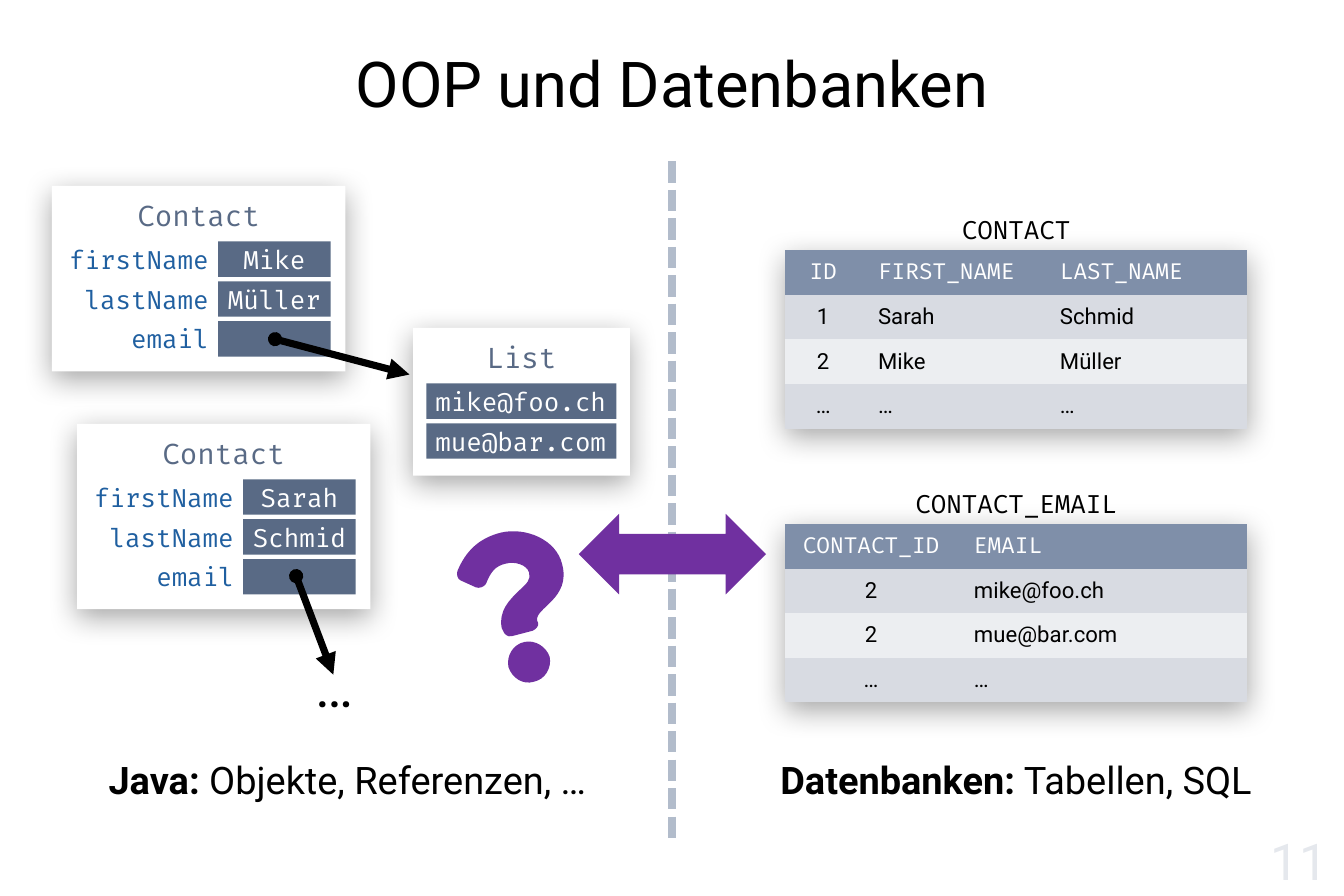
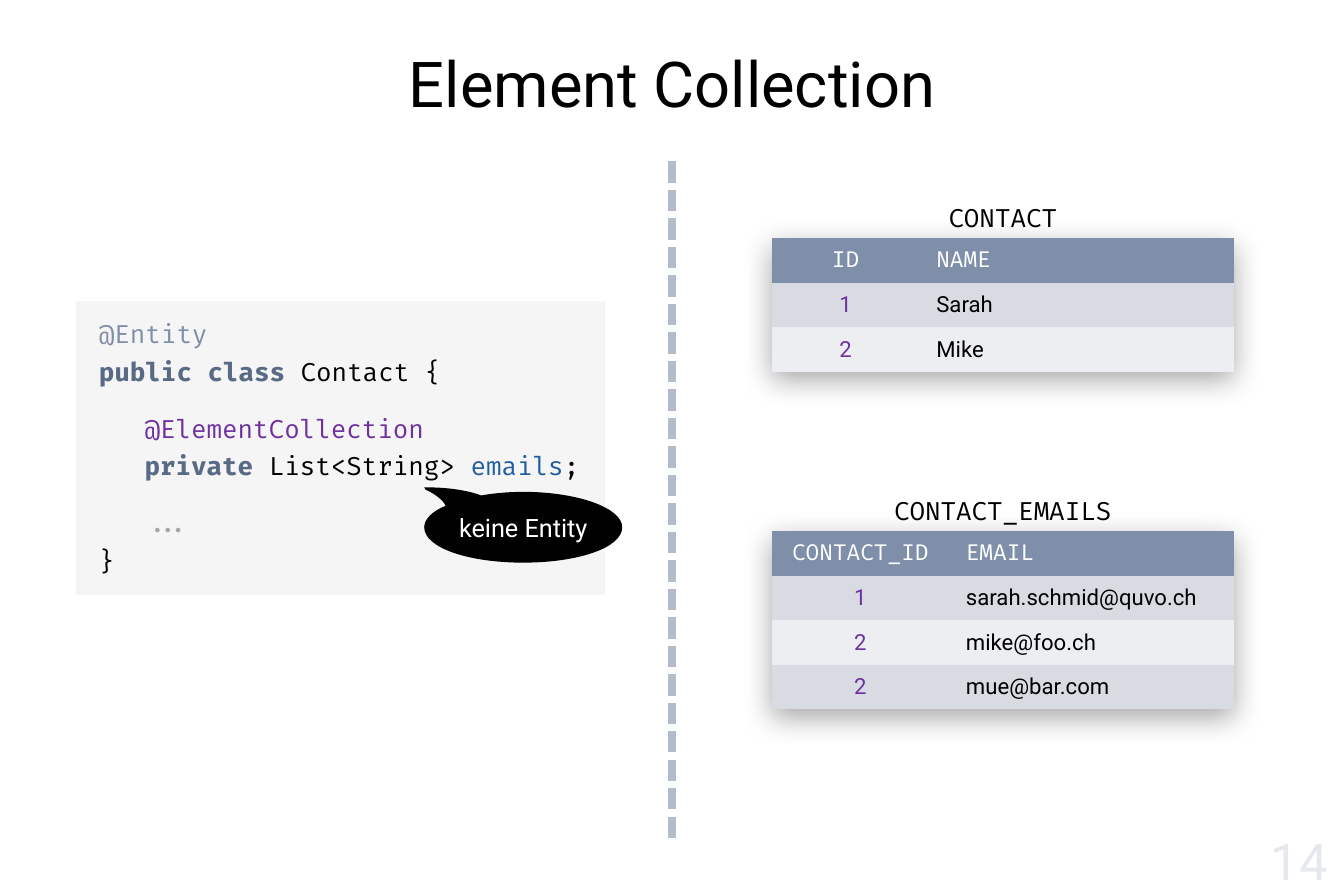
from dataclasses import dataclass

from lxml.etree import SubElement
from pptx import Presentation
from pptx.dml.color import RGBColor
from pptx.enum.dml import MSO_LINE
from pptx.enum.shapes import MSO_CONNECTOR, MSO_SHAPE
from pptx.enum.text import MSO_ANCHOR, PP_ALIGN
from pptx.oxml.ns import qn
from pptx.util import Cm, Pt


@dataclass(frozen=True)
class Theme:
    sans: str = "Roboto"
    mono: str = "Fira Code"
    black: str = "000000"
    white: str = "FFFFFF"
    slate: str = "596A85"
    header: str = "7F8FA9"
    rows: tuple = ("D8DBE2", "ECEEF1")
    divider: str = "B2BCCB"
    number: str = "E5E8ED"
    muted: str = "A6A6A6"
    blue: str = "1F5FA0"
    purple: str = "7030A0"
    title_size: int = 40
    ellipsis_size: int = 36
    number_size: int = 32
    caption_size: int = 24
    card_size: int = 18
    body_size: int = 16
    cell_size: int = 14
    line_width: float = 4.5


@dataclass(frozen=True)
class Box:
    left: float
    top: float
    width: float
    height: float

    def inside(self, left, top, width, height):
        return Box(self.left + left, self.top + top, width, height)

    def lengths(self):
        return Cm(self.left), Cm(self.top), Cm(self.width), Cm(self.height)


THEME = Theme()
NO_GRID_STYLE = "{2D5ABB26-0587-4C30-8999-92F81FD0307C}"
ROW_HEIGHT = 0.99
SLOT_TOP, SLOT_HEIGHT, SLOT_PITCH = 1.24, 0.79, 0.89

QUESTION_HOOK = [
    (1.02, 0.05),
    (0.51, 0.18, 0.23, 0.48, 0.05, 0.91),
    (0.03, 0.99, 0.05, 1.09, 0.13, 1.12),
    (0.46, 1.27),
    (0.53, 1.3, 0.64, 1.27, 0.69, 1.19),
    (0.79, 0.94, 0.89, 0.79, 1.14, 0.74),
    (1.32, 0.69, 1.6, 0.76, 1.65, 0.94),
    (1.7, 1.09, 1.6, 1.19, 1.42, 1.35),
    (1.22, 1.55, 0.97, 1.78, 1.04, 2.18),
    (1.07, 2.24),
    (1.09, 2.31, 1.17, 2.39, 1.27, 2.36),
    (1.73, 2.24),
    (1.8, 2.21, 1.88, 2.13, 1.85, 2.06),
    (1.83, 2.01),
    (1.78, 1.73, 2.59, 1.52, 2.39, 0.76),
    (2.26, 0.2, 1.57, -0.08, 1.02, 0.05),
]
QUESTION_DOT = [
    (1.55, 2.49),
    (1.3, 2.54, 1.14, 2.79, 1.19, 3.05),
    (1.27, 3.3, 1.52, 3.45, 1.75, 3.38),
    (2.01, 3.33, 2.16, 3.07, 2.11, 2.82),
    (2.03, 2.59, 1.78, 2.44, 1.55, 2.49),
]
BUBBLE = [
    (2.21, 1.68),
    (0.99, 1.68, 0, 1.35, 0, 0.89),
    (0, 0.71, 0.18, 0.53, 0.48, 0.41),
    (0.38, 0.2, 0.03, 0.05, 0.03, 0.05),
    (0, 0.03, 0, 0.03, 0, 0),
    (0, 0, 0.03, 0, 0.08, 0),
    (0.64, 0, 1.07, 0.1, 1.27, 0.18),
    (1.55, 0.13, 1.88, 0.1, 2.21, 0.1),
    (3.43, 0.1, 4.42, 0.46, 4.42, 0.89),
    (4.42, 1.35, 3.43, 1.68, 2.21, 1.68),
]


def add_span(para, text, size, color=THEME.black, font=THEME.sans, bold=False):
    span = para.add_run()
    span.text = text
    span.font.size = Pt(size)
    span.font.name = font
    span.font.bold = bold
    span.font.color.rgb = RGBColor.from_string(color)


def set_frame(frame, insets, anchor, align):
    frame.word_wrap = True
    frame.margin_left, frame.margin_top, frame.margin_right, frame.margin_bottom = map(Cm, insets)
    frame.vertical_anchor = anchor
    para = frame.paragraphs[0]
    para.alignment = align
    return para


def add_text(page, box, insets=(0.25, 0.13, 0.25, 0.13), anchor=MSO_ANCHOR.TOP, align=PP_ALIGN.CENTER):
    return set_frame(page.shapes.add_textbox(*box.lengths()).text_frame, insets, anchor, align)


def paint(shape, color):
    shape.shadow.inherit = False
    shape.fill.solid()
    shape.fill.fore_color.rgb = RGBColor.from_string(color)
    shape.line.fill.background()
    return shape


def add_block(page, kind, box, color):
    return paint(page.shapes.add_shape(kind, *box.lengths()), color)


def add_alpha(parent, percent):
    SubElement(parent, qn("a:alpha"), val=str(percent * 1000))


def add_shadow(effects):
    shadow = SubElement(effects, qn("a:outerShdw"), blurRad=str(Pt(19)), dist=str(Pt(5)),
                        dir="5400000", algn="t", rotWithShape="0")
    add_alpha(SubElement(shadow, qn("a:srgbClr"), val=THEME.black), 35)


def add_line(page, start, end, color):
    line = page.shapes.add_connector(MSO_CONNECTOR.STRAIGHT, *map(Cm, start + end))
    line.line.color.rgb = RGBColor.from_string(color)
    line.line.width = Pt(THEME.line_width)
    SubElement(line._element.spPr, qn("a:effectLst"))
    return line


def add_reference(page, start, end):
    outline = add_line(page, start, end, THEME.black).line._get_or_add_ln()
    SubElement(outline, qn("a:headEnd"), type="oval", w="sm", len="sm")
    SubElement(outline, qn("a:tailEnd"), type="triangle")


def add_outline(page, box, contours, color):
    def place(x, y):
        return Cm(box.left + x), Cm(box.top + y)

    builder = page.shapes.build_freeform(*place(*contours[0][0]))
    for index, contour in enumerate(contours):
        if index:
            builder.move_to(*place(*contour[0]))
        builder.add_line_segments([place(*part[-2:]) for part in contour[1:]])
    shape = paint(builder.convert_to_shape(), color)
    parts = [part for contour in contours for part in contour[1:]]
    segments = list(shape._element.spPr.iter(qn("a:lnTo")))
    for segment, part in zip(segments, parts):
        if len(part) == 6:
            segment.tag = qn("a:cubicBezTo")
            for position in (0, 1):
                x, y = place(*part[2 * position:2 * position + 2])
                control = SubElement(segment, qn("a:pt"), x=str(x - shape.left), y=str(y - shape.top))
                segment.insert(position, control)
    return shape


def add_page(deck, title, number):
    page = deck.slides.add_slide(deck.slide_layouts[5])
    heading = page.shapes.title
    heading.left, heading.top, heading.width, heading.height = Box(1.07, 0.84, 27.86, 2.21).lengths()
    para = set_frame(heading.text_frame, (0.25, 0.13, 0.25, 0.13), MSO_ANCHOR.MIDDLE, PP_ALIGN.CENTER)
    para.line_spacing = 0.9
    add_span(para, title, THEME.title_size)
    add_line(page, (15, 3.6), (15, 18.75), THEME.divider).line.dash_style = MSO_LINE.SQUARE_DOT
    para = add_text(page, Box(28.37, 18.53, 1.6, 1.32), (0, 0, 0, 0), align=PP_ALIGN.LEFT)
    add_span(para, number, THEME.number_size, THEME.number)
    return page


def add_card(page, box, title):
    card = add_block(page, MSO_SHAPE.RECTANGLE, box, THEME.white)
    add_shadow(card._element.spPr.find(qn("a:effectLst")))
    para = set_frame(card.text_frame, (0.51, 0.2, 0.51, 0.41), MSO_ANCHOR.TOP, PP_ALIGN.CENTER)
    para.line_spacing = 1.1
    add_span(para, title, THEME.card_size, THEME.slate, THEME.mono)


def add_slot(page, box, text, align):
    slot = add_block(page, MSO_SHAPE.RECTANGLE, box, THEME.slate)
    if text:
        para = set_frame(slot.text_frame, (0.2, 0.05, 0.2, 0.05), MSO_ANCHOR.MIDDLE, align)
        add_span(para, text, THEME.body_size, THEME.white, THEME.mono)


def add_contact(page, box, fields):
    add_card(page, box, "Contact")
    for index, (name, value) in enumerate(fields):
        top = SLOT_TOP + index * SLOT_PITCH
        add_slot(page, box.inside(3.71, top, 2.51, SLOT_HEIGHT), value, PP_ALIGN.CENTER)
        para = add_text(page, box.inside(0.1, top - 0.05, 3.6, SLOT_PITCH),
                        (0.2, 0.1, 0.2, 0.1), MSO_ANCHOR.MIDDLE, PP_ALIGN.RIGHT)
        add_span(para, name, THEME.body_size, THEME.blue, THEME.mono)


def add_list(page, box, items):
    add_card(page, box, "List")
    for index, item in enumerate(items):
        slot = box.inside(0.3, SLOT_TOP + index * SLOT_PITCH, box.width - 0.6, SLOT_HEIGHT)
        add_slot(page, slot, item, PP_ALIGN.LEFT)


def add_data_table(page, left, top, name, widths, rows, key_color=THEME.black):
    box = Box(left, top, sum(widths), ROW_HEIGHT * len(rows))
    table = page.shapes.add_table(len(rows), len(widths), *box.lengths()).table
    properties = table._tbl.tblPr
    properties.find(qn("a:tableStyleId")).text = NO_GRID_STYLE
    effects = SubElement(properties, qn("a:effectLst"))
    properties.insert(0, effects)
    add_shadow(effects)
    for column, width in zip(table.columns, widths):
        column.width = Cm(width)
    for r, values in enumerate(rows):
        table.rows[r].height = Cm(ROW_HEIGHT)
        for c, value in enumerate(values):
            cell = table.cell(r, c)
            cell.fill.solid()
            cell.fill.fore_color.rgb = RGBColor.from_string(THEME.rows[(r - 1) % 2] if r else THEME.header)
            cell.margin_left = cell.margin_right = Cm(0.38)
            cell.margin_top = cell.margin_bottom = Cm(0.2)
            para = cell.text_frame.paragraphs[0]
            para.alignment = PP_ALIGN.LEFT if c else PP_ALIGN.CENTER
            if r:
                add_span(para, value, THEME.cell_size, THEME.black if c else key_color)
            else:
                add_span(para, value, THEME.cell_size, THEME.white, THEME.mono)
    para = add_text(page, box.inside(0, -0.94, box.width, 0.94), anchor=MSO_ANCHOR.BOTTOM)
    add_span(para, name, THEME.body_size, font=THEME.mono)


def add_caption(page, box, term, rest):
    para = add_text(page, box)
    add_span(para, term, THEME.caption_size, bold=True)
    add_span(para, rest, THEME.caption_size)


def add_code(page, box, lines):
    panel = add_block(page, MSO_SHAPE.RECTANGLE, box, THEME.black)
    add_alpha(panel._element.spPr.find(qn("a:solidFill"))[0], 4)
    para = set_frame(panel.text_frame, (0.51, 0.2, 0.51, 0.41), MSO_ANCHOR.TOP, PP_ALIGN.LEFT)
    for index, (indent, gap, spans) in enumerate(lines):
        if index:
            para = panel.text_frame.add_paragraph()
            para.alignment = PP_ALIGN.LEFT
        para.line_spacing = 1.25
        para.space_before = Pt(gap)
        para._p.get_or_add_pPr().set("marL", str(Cm(indent)))
        for text, color, bold in spans:
            add_span(para, text, THEME.body_size, color, THEME.mono, bold)


def add_bubble(page, box, text):
    bubble = add_outline(page, box, [BUBBLE], THEME.black)
    para = set_frame(bubble.text_frame, (0.25, 0.1, 0.25, 0), MSO_ANCHOR.MIDDLE, PP_ALIGN.CENTER)
    add_span(para, text, THEME.body_size, THEME.white)


def build_comparison(deck):
    page = add_page(deck, "OOP und Datenbanken", "11")
    add_contact(page, Box(1.16, 4.15, 6.55, 4.14),
                [("firstName", "Mike"), ("lastName", "Müller"), ("email", "")])
    add_list(page, Box(9.22, 7.32, 4.84, 3.3), ["mike@foo.ch", "mue@bar.com"])
    add_reference(page, (6.14, 7.57), (9.14, 8.36))
    add_contact(page, Box(1.72, 9.46, 6.55, 4.14),
                [("firstName", "Sarah"), ("lastName", "Schmid"), ("email", "")])
    add_reference(page, (6.61, 12.86), (7.44, 15.06))
    add_span(add_text(page, Box(6.8, 14.4, 1.47, 1.8), align=PP_ALIGN.LEFT), "…", THEME.ellipsis_size)
    add_data_table(page, 17.53, 5.59, "CONTACT", (1.69, 4.06, 4.56),
                   [("ID", "FIRST_NAME", "LAST_NAME"), ("1", "Sarah", "Schmid"),
                    ("2", "Mike", "Müller"), ("…", "…", "…")])
    add_data_table(page, 17.53, 11.7, "CONTACT_EMAIL", (3.83, 6.48),
                   [("CONTACT_ID", "EMAIL"), ("2", "mike@foo.ch"), ("2", "mue@bar.com"), ("…", "…")])
    add_caption(page, Box(1.9, 16.76, 11.71, 1.27), "Java:", " Objekte, Referenzen, …")
    add_caption(page, Box(16.95, 16.76, 11.46, 1.27), "Datenbanken:", " Tabellen, SQL")
    add_block(page, MSO_SHAPE.LEFT_RIGHT_ARROW, Box(12.92, 11.47, 4.18, 1.8), THEME.purple)
    add_outline(page, Box(10.16, 11.84, 2.4, 3.4), [QUESTION_HOOK, QUESTION_DOT], THEME.purple)


def build_collection(deck):
    page = add_page(deck, "Element Collection", "14")
    add_code(page, Box(1.7, 6.73, 11.81, 6.55), [
        (0, 0, [("@Entity", THEME.header, False)]),
        (0, 0, [("public class ", THEME.slate, True), ("Contact {", THEME.black, False)]),
        (1.02, 12, [("@ElementCollection", THEME.purple, False)]),
        (1.02, 0, [("private", THEME.slate, True), (" List<String> ", THEME.black, False),
                   ("emails", THEME.blue, False), (";", THEME.black, False)]),
        (1.02, 12, [("...", THEME.muted, False)]),
        (0, 0, [("}", THEME.black, False)]),
    ])
    add_data_table(page, 17.23, 5.32, "CONTACT", (3.29, 7.02),
                   [("ID", "NAME"), ("1", "Sarah"), ("2", "Mike")], THEME.purple)
    add_data_table(page, 17.23, 11.86, "CONTACT_EMAILS", (3.95, 6.36),
                   [("CONTACT_ID", "EMAIL"), ("1", "sarah.schmid@quvo.ch"),
                    ("2", "mike@foo.ch"), ("2", "mue@bar.com")], THEME.purple)
    add_bubble(page, Box(9.47, 10.88, 4.42, 1.68), "keine Entity")


def main():
    deck = Presentation()
    deck.slide_width, deck.slide_height = Cm(30), Cm(20)
    build_comparison(deck)
    build_collection(deck)
    deck.save("out.pptx")


if __name__ == "__main__":
    main()
